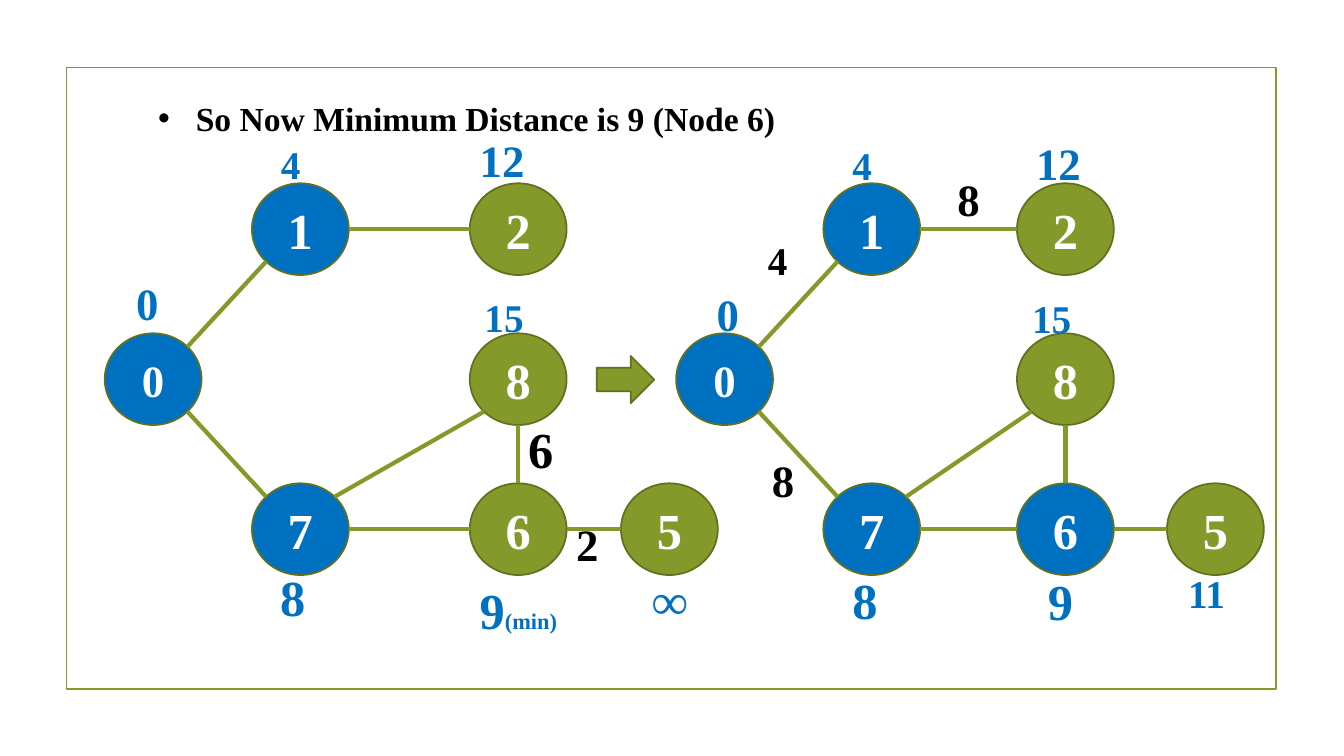
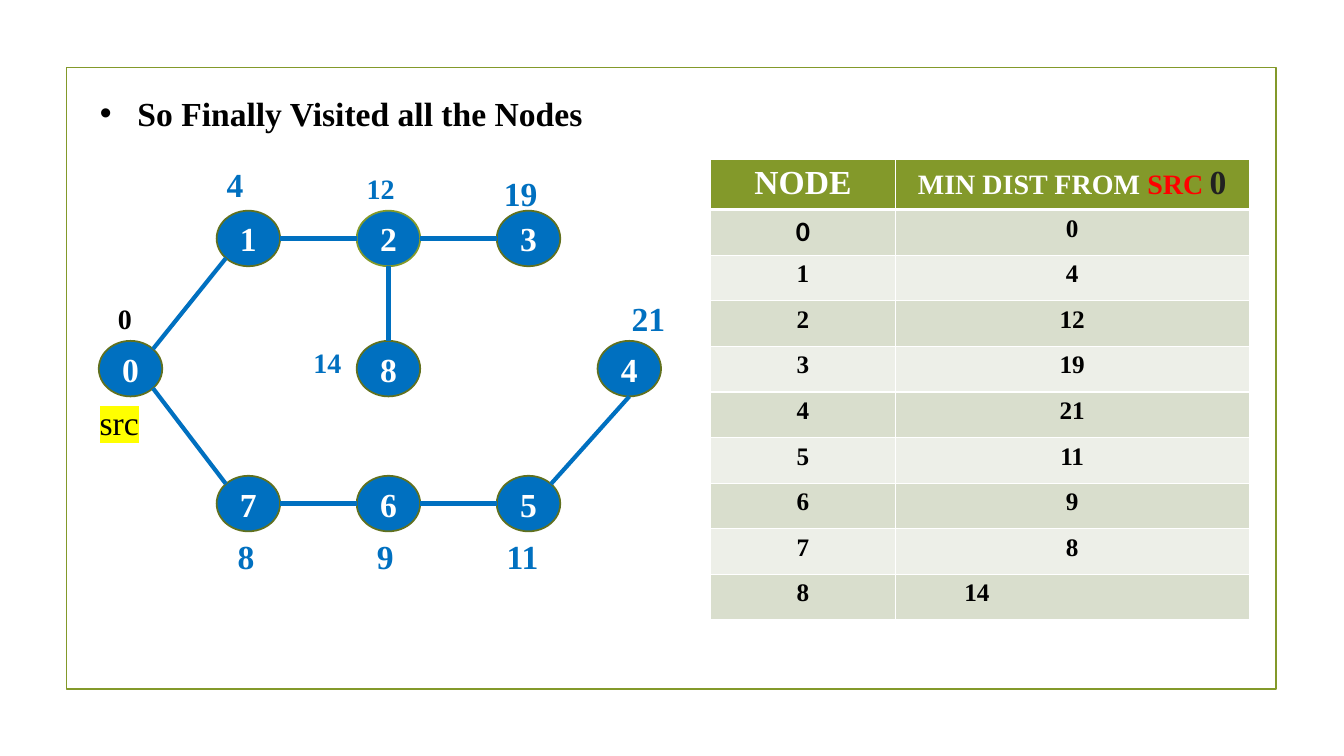
from dataclasses import dataclass
from math import cos, radians, sin

from lxml.etree import SubElement
from pptx import Presentation
from pptx.dml.color import RGBColor
from pptx.enum.shapes import MSO_CONNECTOR as Line, MSO_SHAPE as Preset
from pptx.enum.text import MSO_ANCHOR as Anchor, MSO_AUTO_SIZE as AutoSize, PP_ALIGN as Align
from pptx.oxml import parse_xml
from pptx.oxml.ns import nsdecls, qn
from pptx.util import Cm, Pt

COLORS = {
    "green": "83992A", "outline": "61711F", "blue": "0070C0", "white": "FFFFFF",
    "black": "000000", "red": "FF0000", "dark": "212121", "yellow": "FFFF00",
    "band": "D9DECD", "pale": "EDEFE8",
}
FONT = "Times New Roman"
SITES = ["N", "NW", "W", "SW", "S", "SE", "E", "NE"]  # connection sites of an ellipse

# node: (column, row)
STEP_NODES = {"0": (0, 1), "1": (1, 0), "7": (1, 2), "2": (2, 0),
              "8": (2, 1), "6": (2, 2), "5": (3, 2)}
STEP_EDGES = ["0 NE 1 SW", "0 SE 7 NW", "1 E 2 W", "7 E 6 W",
              "7 NE 8 SW", "8 S 6 N", "6 E 5 W"]
FINAL_NODES = {"0": (0, 1), "1": (1, 0), "7": (1, 2), "2": (2, 0), "8": (2, 1),
               "6": (2, 2), "3": (3, 0), "5": (3, 2), "4": (4, 1)}
FINAL_EDGES = ["0 NE 1 SW", "0 SE 7 NW", "1 E 2 W", "2 E 3 W", "2 S 8 N",
               "7 E 6 W", "6 E 5 W", "5 NE 4 S"]
DISTANCES = [0, 4, 12, 19, 21, 11, 9, 8, 14]


@dataclass
class Graph:
    """Geometry in cm; columns and rows are offsets of node corners from left, top."""
    left: float
    top: float
    columns: tuple
    rows: tuple
    node_size: tuple
    nodes: dict
    edges: list
    visited: str
    edge_color: str
    text_size: int


def rgb(name):
    return RGBColor.from_string(COLORS[name])


def style(span, size, color="black", bold=True, font=FONT):
    span.font.size = Pt(size)
    span.font.name = font
    span.font.bold = bold
    span.font.color.rgb = rgb(color)


def paint(shape, fill, outline):
    shape.shadow.inherit = False
    if fill:
        shape.fill.solid()
        shape.fill.fore_color.rgb = rgb(fill)
    else:
        shape.fill.background()
    shape.line.color.rgb = rgb(outline)
    shape.line.width = Pt(1.25)


def add_frame(page, layout):
    """Draw the border and hand it to the layout, so every slide shows it."""
    frame = page.shapes.add_shape(Preset.RECTANGLE, Cm(1.68), Cm(1.7), Cm(30.48), Cm(15.67))
    paint(frame, None, "green")
    frame.element.xpath(".//p:cNvPr")[0].set("id", "90")
    layout.shapes.element.append(frame.element)


def add_heading(page, text, left, top, width):
    title = page.shapes.title
    title.left, title.top, title.width, title.height = Cm(left), Cm(top), Cm(width), Cm(1.27)
    frame = title.text_frame
    frame.text = text
    frame.auto_size = AutoSize.NONE
    frame.vertical_anchor = Anchor.TOP
    para = frame.paragraphs[0]
    para.alignment = Align.LEFT
    style(para.runs[0], 24)
    properties = para._p.get_or_add_pPr()
    properties.set("marL", str(Cm(0.95)))
    properties.set("indent", str(-Cm(0.95)))
    SubElement(properties, qn("a:buFont")).set("typeface", "Arial")
    SubElement(properties, qn("a:buChar")).set("char", "•")


def add_node(page, graph, name):
    column, row = graph.nodes[name]
    width, height = graph.node_size
    node = page.shapes.add_shape(
        Preset.OVAL, Cm(graph.left + graph.columns[column]),
        Cm(graph.top + graph.rows[row]), Cm(width), Cm(height))
    paint(node, "blue" if name in graph.visited else "green", "outline")
    frame = node.text_frame
    frame.text = name
    frame.vertical_anchor = Anchor.MIDDLE
    frame.paragraphs[0].alignment = Align.CENTER
    style(frame.paragraphs[0].runs[0], graph.text_size, "white")
    return node


def site_point(node, site):
    angle = radians(90 + 45 * SITES.index(site))
    return (int(node.left + node.width / 2 * (1 + cos(angle))),
            int(node.top + node.height / 2 * (1 - sin(angle))))


def add_edge(page, start, start_site, end, end_site, color):
    edge = page.shapes.add_connector(
        Line.STRAIGHT, *site_point(start, start_site), *site_point(end, end_site))
    edge.line.color.rgb = rgb(color)
    edge.line.width = Pt(3)
    SubElement(edge.element.spPr, qn("a:effectLst"))
    joints = edge.element.xpath(".//p:cNvCxnSpPr")[0]
    for tag, node, site in (("a:stCxn", start, start_site), ("a:endCxn", end, end_site)):
        joint = SubElement(joints, qn(tag))
        joint.set("id", str(node.shape_id))
        joint.set("idx", str(SITES.index(site)))


def add_graph(page, graph):
    nodes = {name: add_node(page, graph, name) for name in graph.nodes}
    for edge in graph.edges:
        start, start_site, end, end_site = edge.split()
        add_edge(page, nodes[start], start_site, nodes[end], end_site, graph.edge_color)
    return nodes


def add_label(page, graph, text, x, y, size, color="blue", bold=True):
    """Place a label at an offset from the graph's corner."""
    box = page.shapes.add_textbox(
        Cm(graph.left + x), Cm(graph.top + y),
        Cm(0.7 + 0.02 * size * len(text)), Cm(0.25 + 0.04 * size))
    box.text_frame.word_wrap = True
    para = box.text_frame.paragraphs[0]
    para.text = text
    style(para.runs[0], size, color, bold)
    return para


def set_borders(cell, bottom):
    properties = cell._tc.get_or_add_tcPr()
    for index, side in enumerate("LRTB"):
        width = Pt(bottom if side == "B" else 1)
        properties.insert(index, parse_xml(
            f'<a:ln{side} {nsdecls("a")} w="{width}"><a:solidFill>'
            f'<a:srgbClr val="{COLORS["white"]}"/></a:solidFill></a:ln{side}>'))


def fill_cell(cell, spans, fill, bottom=1):
    """Write spans of (text, size, color, font) into a centred cell."""
    cell.fill.solid()
    cell.fill.fore_color.rgb = rgb(fill)
    set_borders(cell, bottom)
    para = cell.text_frame.paragraphs[0]
    para.alignment = Align.CENTER
    for text, size, color, font in spans:
        span = para.add_run()
        span.text = text
        style(span, size, color, font=font)


def add_distance_table(page, left, top):
    widths, header_height, row_height = (4.65, 8.92), 1.19, 1.15
    count = len(DISTANCES)
    table = page.shapes.add_table(
        count + 1, 2, Cm(left), Cm(top), Cm(sum(widths)),
        Cm(header_height + count * row_height)).table
    for column, width in zip(table.columns, widths):
        column.width = Cm(width)
    for index, row in enumerate(table.rows):
        row.height = Cm(row_height if index else header_height)
    fill_cell(table.cell(0, 0), [("NODE", 24, "white", FONT)], "green", 3)
    fill_cell(table.cell(0, 1), [
        ("MIN DIST FROM ", 20, "white", FONT), ("SRC", 20, "red", FONT),
        (" ", 18, "red", FONT), ("0", 24, "dark", FONT)], "green", 3)
    for node, distance in enumerate(DISTANCES):
        fill = "pale" if node % 2 else "band"
        size, font = (18, FONT) if node else (20, "Calibri")
        fill_cell(table.cell(node + 1, 0), [(str(node), size, "black", font)], fill)
        fill_cell(table.cell(node + 1, 1), [(str(distance), 18, "black", FONT)], fill)
    last = table.cell(count, 1)
    last.margin_left = Cm(1.74)
    last.text_frame.paragraphs[0].alignment = Align.LEFT


def add_step_graph(page, left, columns, visited, labels):
    graph = Graph(left, 4.62, columns, (0, 3.78, 7.56), (2.44, 2.31),
                  STEP_NODES, STEP_EDGES, visited, "green", 36)
    nodes = add_graph(page, graph)
    nodes["0"].text_frame.paragraphs[0].runs[0].font.size = Pt(32)
    return [add_label(page, graph, *label) for label in labels]


def build_step_page(page):
    add_heading(page, "So Now Minimum Distance is 9 (Node 6)", 3.73, 2.34, 17.22)
    paras = add_step_graph(page, 2.64, (0, 3.71, 9.2, 13.01), "017", [
        ("9", 9.2, 9.86, 36), ("0", 0.54, 2.21, 32), ("8", 4.17, 9.53, 36),
        ("4", 4.19, -1.22, 28), ("12", 9.2, -1.39, 32), ("15", 9.32, 2.64, 28),
        ("∞", 13.54, 9.6, 36), ("6", 10.42, 5.79, 36, "black"),
        ("2", 11.63, 8.28, 32, "black")])
    suffix = paras[0].add_run()
    suffix.text = "(min)"
    style(suffix, 16, "blue")
    paras[0]._parent._parent.width = Cm(3.68)
    add_step_graph(page, 17.04, (0, 3.71, 8.59, 12.37), "0167", [
        ("0", 0.77, 2.49, 32), ("8", 4.19, 9.6, 36), ("4", 4.19, -1.19, 28),
        ("12", 8.82, -1.32, 32), ("9", 9.12, 9.63, 36), ("15", 8.72, 2.67, 28),
        ("11", 12.65, 9.6, 28), ("4", 2.06, 1.22, 28, "black"),
        ("8", 2.16, 6.66, 32, "black"), ("8", 6.84, -0.43, 32, "black")])
    arrow = page.shapes.add_shape(Preset.RIGHT_ARROW, Cm(15.04), Cm(8.97), Cm(1.45), Cm(1.19))
    paint(arrow, "green", "outline")


def build_final_page(page):
    add_heading(page, "So Finally Visited all the Nodes", 2.26, 2.21, 13.13)
    graph = Graph(2.49, 5.31, (0, 2.97, 6.5, 10.03, 12.57), (0, 3.28, 6.68), (1.6, 1.4),
                  FINAL_NODES, FINAL_EDGES, "012345678", "blue", 24)
    nodes = add_graph(page, graph)
    nodes["2"].line.color.rgb = rgb("green")
    for label in [
            ("0", 0.23, 2.16, 20, "black"), ("4", 2.97, -1.3, 24), ("12", 6.5, -1.12, 20),
            ("14", 5.16, 3.28, 20), ("8", 3.25, 8.08, 24), ("9", 6.76, 8.08, 24),
            ("11", 10.03, 8.08, 24), ("21", 13.18, 2.08, 24), ("19", 9.96, -1.09, 24)]:
        add_label(page, graph, *label)
    source = add_label(page, graph, "src", -0.23, 4.7, 24, "black", False)
    color = source.runs[0]._r.xpath("./a:rPr/a:solidFill")[0]
    color.addnext(parse_xml(f'<a:highlight {nsdecls("a")}>'
                            f'<a:srgbClr val="{COLORS["yellow"]}"/></a:highlight>'))
    add_distance_table(page, 17.91, 4.01)


def main():
    deck = Presentation()
    deck.slide_width, deck.slide_height = Cm(33.87), Cm(19.05)
    layout = deck.slide_layouts[5]
    pages = [deck.slides.add_slide(layout) for _ in range(2)]
    add_frame(pages[0], layout)
    build_step_page(pages[0])
    build_final_page(pages[1])
    deck.save("out.pptx")


if __name__ == "__main__":
    main()
